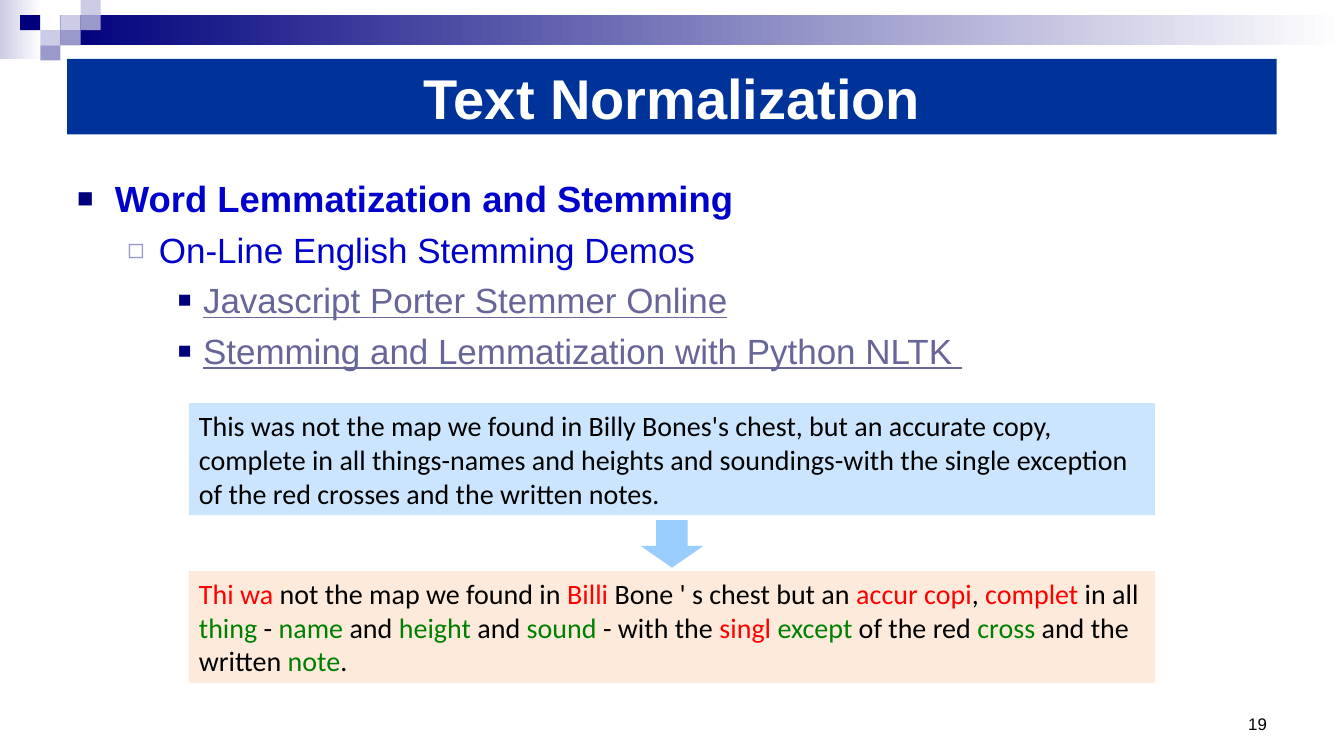
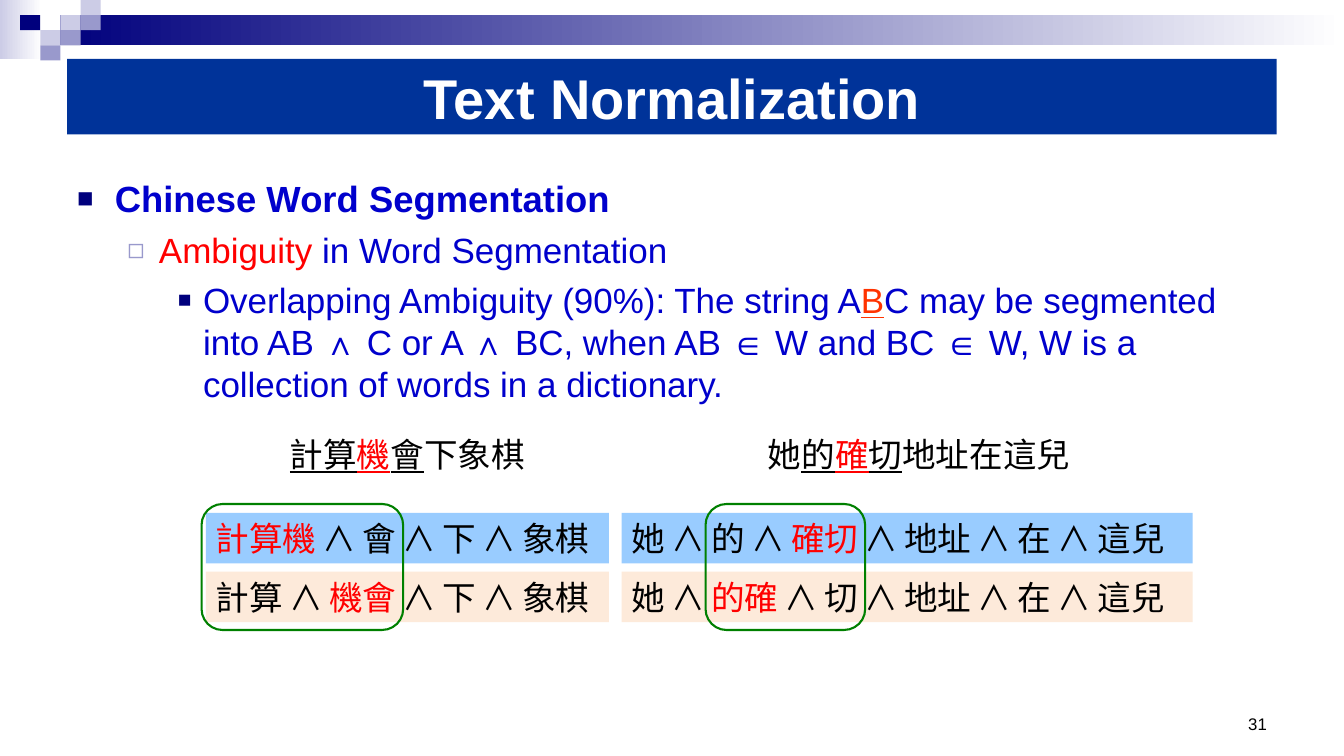
from lxml.etree import SubElement
from pptx import Presentation
from pptx.dml.color import RGBColor
from pptx.enum.shapes import MSO_SHAPE
from pptx.enum.text import MSO_ANCHOR, PP_ALIGN
from pptx.oxml.ns import qn
from pptx.util import Pt

COLORS = {
    "navy": "00007D", "lavender": "9999CC", "pale": "CCCCE6", "white": "FFFFFF",
    "title": "003399", "body": "0000CC", "link": "666699", "black": "000000",
    "red": "FF0000", "orange": "FF3300", "green": "008000",
    "sky": "99CCFF", "peach": "FDEADA",
}
LATIN, SERIF_FREE, CHINESE = "Arial", "Calibri", "Noto Sans CJK SC"
TITLE = "Text Normalization"

CELL_WIDTH, CELL_HEIGHT = 14.4, 10.8
GRADIENTS = [((0, 0, 30, 42), "pale"), ((43.2, 10.8, 916.8, 21.6), "navy")]
CELLS = [(3, 1, "pale"), (4, 0, "pale"), (4, 1, "lavender"), (2, 2, "pale"),
         (1, 1, "navy"), (3, 2, "lavender"), (2, 3, "lavender")]

LEVELS = [
    {"indent": 27, "hang": 27, "bullet": "■", "color": "navy", "percent": 75, "size": 26},
    {"indent": 58.5, "hang": 22.5, "bullet": "◻", "color": "lavender", "percent": 80, "size": 25},
    {"indent": 90, "hang": 18, "bullet": "■", "color": "navy", "percent": 65, "size": 25},
]
LINK = {"color": "link", "underline": True}
WEDGE = {"size": 24}

STEMMING_BODY = [
    (0, [("Word Lemmatization and Stemming", {"bold": True})]),
    (1, [("On-Line English Stemming Demos", {})]),
    (2, [("Javascript Porter Stemmer Online", LINK)]),
    (2, [("Stemming and Lemmatization with Python NLTK ", LINK)]),
]
SEGMENTATION_BODY = [
    (0, [("Chinese Word Segmentation", {"bold": True})]),
    (1, [("Ambiguity ", {"color": "red"}), ("in Word Segmentation", {})]),
    (2, [("Overlapping Ambiguity (90%): The string A", {}),
         ("B", {"color": "orange", "underline": True}),
         ("C may be segmented into AB ", {}), ("∧", WEDGE),
         (" C or A ", {}), ("∧", WEDGE),
         (" BC, when AB ∈ W and BC ∈ W, W is a collection of words in a dictionary.", {})]),
]

SENTENCE = [("This was not the map we found in Billy Bones's chest, but an accurate copy, "
             "complete in all things-names and heights and soundings-with the single "
             "exception of the red crosses and the written notes.", "black")]
STEMMED = [
    ("Thi wa", "red"), (" not the map we found in ", "black"), ("Billi", "red"),
    (" Bone ' s chest but an ", "black"), ("accur copi", "red"), (", ", "black"),
    ("complet", "red"), (" in all ", "black"), ("thing", "green"), (" - ", "black"),
    ("name", "green"), (" and ", "black"), ("height", "green"), (" and ", "black"),
    ("sound", "green"), (" - with the ", "black"), ("singl ", "red"),
    ("except", "green"), (" of the red ", "black"), ("cross", "green"),
    (" and the written ", "black"), ("note", "green"), (".", "black"),
]

EXAMPLES = [
    {"left": 147, "width": 288, "phrase_box": (199, 184), "frame": (144, 144),
     "phrase": [("計算", "black", True), ("機", "red", True), ("會", "black", True),
                ("下象棋", "black", False)],
     "splits": [(["計算機", "會", "下", "象棋"], "計算機"),
                (["計算", "機會", "下", "象棋"], "機會")]},
    {"left": 444, "width": 408, "phrase_box": (540, 233), "frame": (504, 114),
     "phrase": [("她", "black", False), ("的", "black", True), ("確", "red", True),
                ("切", "black", True), ("地址在這兒", "black", False)],
     "splits": [(["她", "的", "確切", "地址", "在", "這兒"], "確切"),
                (["她", "的確", "切", "地址", "在", "這兒"], "的確")]},
]
SPLIT_TOP, SPLIT_STEP, SPLIT_FILLS = 366.4, 42, ["sky", "peach"]


def color(name):
    return RGBColor.from_string(COLORS[name])


def add_shape(page, place, fill=None, kind=MSO_SHAPE.RECTANGLE):
    shape = page.shapes.add_shape(kind, *map(Pt, place))
    shape.shadow.inherit = False
    shape.line.fill.background()
    if fill:
        shape.fill.solid()
        shape.fill.fore_color.rgb = color(fill)
    else:
        shape.fill.background()
    return shape


def add_box(page, place):
    return page.shapes.add_textbox(*map(Pt, place))


def prepare(box, anchor=MSO_ANCHOR.MIDDLE, align=PP_ALIGN.LEFT, wrap=True):
    frame = box.text_frame
    frame.word_wrap = wrap
    frame.vertical_anchor = anchor
    para = frame.paragraphs[0]
    para.alignment = align
    return para


def add_span(para, text, size, name, font=LATIN, bold=False, underline=False):
    span = para.add_run()
    span.text = text
    span.font.name = font
    span.font.size = Pt(size)
    span.font.bold = bold
    span.font.underline = underline
    span.font.color.rgb = color(name)
    if font == CHINESE:
        SubElement(span.font._element, qn("a:ea"), typeface=font)


def add_bullet(para, level):
    properties = para._p.get_or_add_pPr()
    properties.set("marL", str(Pt(level["indent"])))
    properties.set("indent", str(-Pt(level["hang"])))
    tint = SubElement(properties, qn("a:buClr"))
    SubElement(tint, qn("a:srgbClr"), val=COLORS[level["color"]])
    SubElement(properties, qn("a:buSzPct"), val=str(level["percent"] * 1000))
    SubElement(properties, qn("a:buFont"), typeface=LATIN)
    SubElement(properties, qn("a:buChar"), char=level["bullet"])


def add_body(page, items):
    box = add_box(page, (48, 122.4, 864, 384))
    para = prepare(box, MSO_ANCHOR.TOP)
    for index, (depth, spans) in enumerate(items):
        level = LEVELS[depth]
        if index:
            para = box.text_frame.add_paragraph()
            para.space_before = Pt(6)
        para.level = depth
        add_bullet(para, level)
        for text, style in spans:
            add_span(para, text, **{"size": level["size"], "name": style.get("color", "body"),
                                    **{key: value for key, value in style.items() if key != "color"}})


def add_page(deck, number, items):
    page = deck.slides.add_slide(deck.slide_layouts[6])
    for place, start in GRADIENTS:
        band = add_shape(page, place)
        band.fill.gradient()
        band.fill.gradient_angle = 0
        for stop, name in zip(band.fill.gradient_stops, (start, "white")):
            stop.color.rgb = color(name)
    for column, row, name in CELLS:
        add_shape(page, (column * CELL_WIDTH, row * CELL_HEIGHT, CELL_WIDTH, CELL_HEIGHT), name)
    number_box = add_box(page, (800, 492, 112, 36))
    add_span(prepare(number_box, MSO_ANCHOR.BOTTOM, PP_ALIGN.RIGHT), str(number), 12, "black")
    add_body(page, items)
    title = add_shape(page, (48, 42, 864, 54), "title")
    add_span(prepare(title, align=PP_ALIGN.CENTER), TITLE, 40, "white", bold=True)
    return page


def add_stemming(page):
    for top, fill, spans in [(288, "sky", SENTENCE), (408, "peach", STEMMED)]:
        box = add_shape(page, (135, top, 690, 80), fill)
        if fill == "sky":
            tint = box.fill._xPr.find(qn("a:solidFill"))[0]
            SubElement(tint, qn("a:alpha"), val="50000")
        para = prepare(box)
        for text, name in spans:
            add_span(para, text, 20, name, SERIF_FREE)
    arrow = add_shape(page, (457.5, 371.5, 45, 34), "sky", MSO_SHAPE.DOWN_ARROW)
    arrow.adjustments[1] = 0.46


def add_example(page, example):
    left, width = example["phrase_box"]
    para = prepare(add_box(page, (left, 306, width, 36)), align=PP_ALIGN.CENTER, wrap=False)
    for text, name, underline in example["phrase"]:
        add_span(para, text, 24, name, CHINESE, underline=underline)
    for row, (words, marked) in enumerate(example["splits"]):
        place = (example["left"], SPLIT_TOP + row * SPLIT_STEP, example["width"], 36)
        para = prepare(add_shape(page, place, SPLIT_FILLS[row]))
        for index, word in enumerate(words):
            if index:
                for text, size in [(" ", 20), ("∧", 24), (" ", 20)]:
                    add_span(para, text, size, "black", CHINESE)
            add_span(para, word, 24, "red" if word == marked else "black", CHINESE)
    left, width = example["frame"]
    outline = add_shape(page, (left, 360, width, 90), kind=MSO_SHAPE.ROUNDED_RECTANGLE)
    outline.line.color.rgb = color("green")
    outline.line.width = Pt(1.5)


def main():
    deck = Presentation()
    deck.slide_width, deck.slide_height = Pt(960), Pt(540)
    add_stemming(add_page(deck, 19, STEMMING_BODY))
    page = add_page(deck, 31, SEGMENTATION_BODY)
    for example in EXAMPLES:
        add_example(page, example)
    deck.save("out.pptx")


if __name__ == "__main__":
    main()
